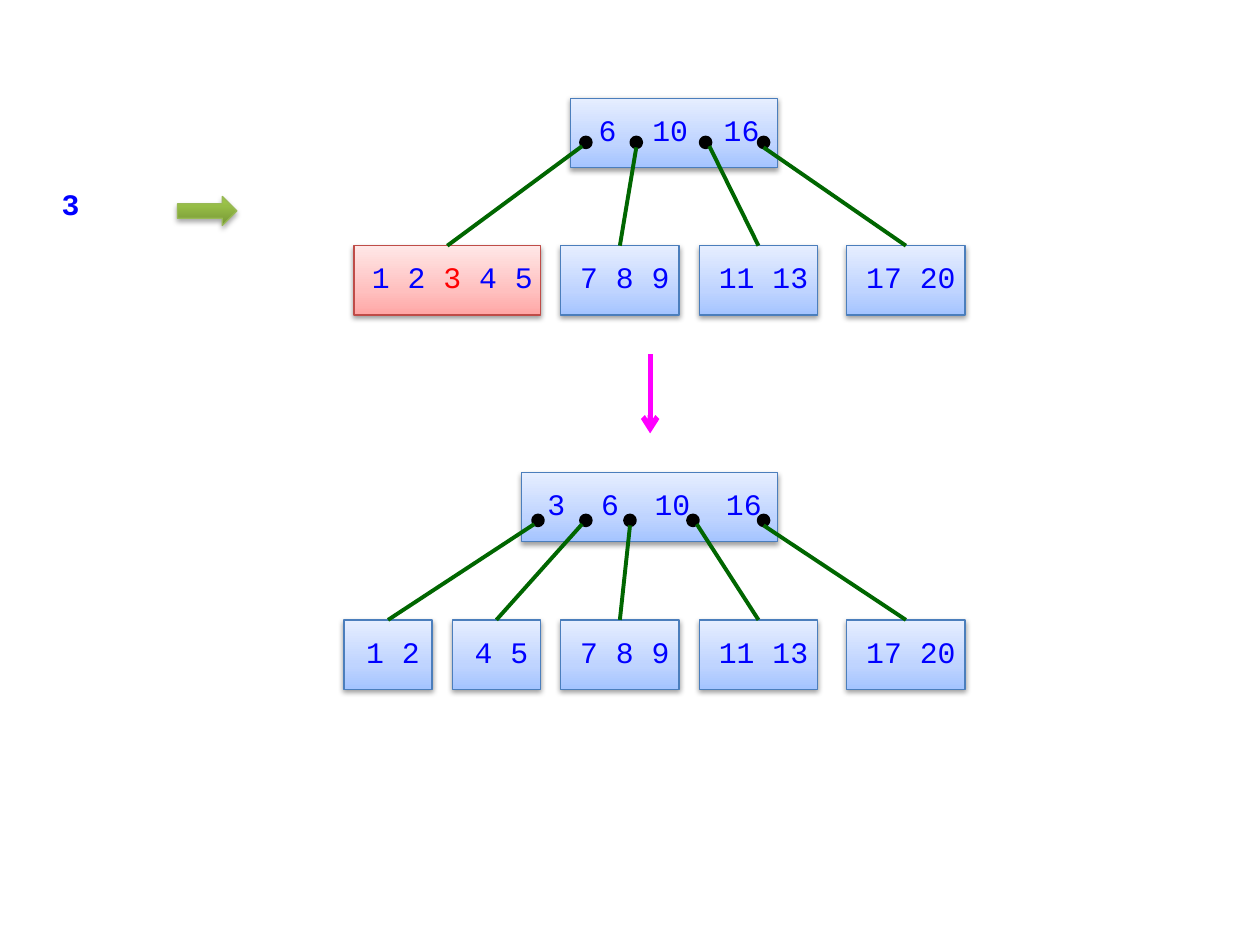
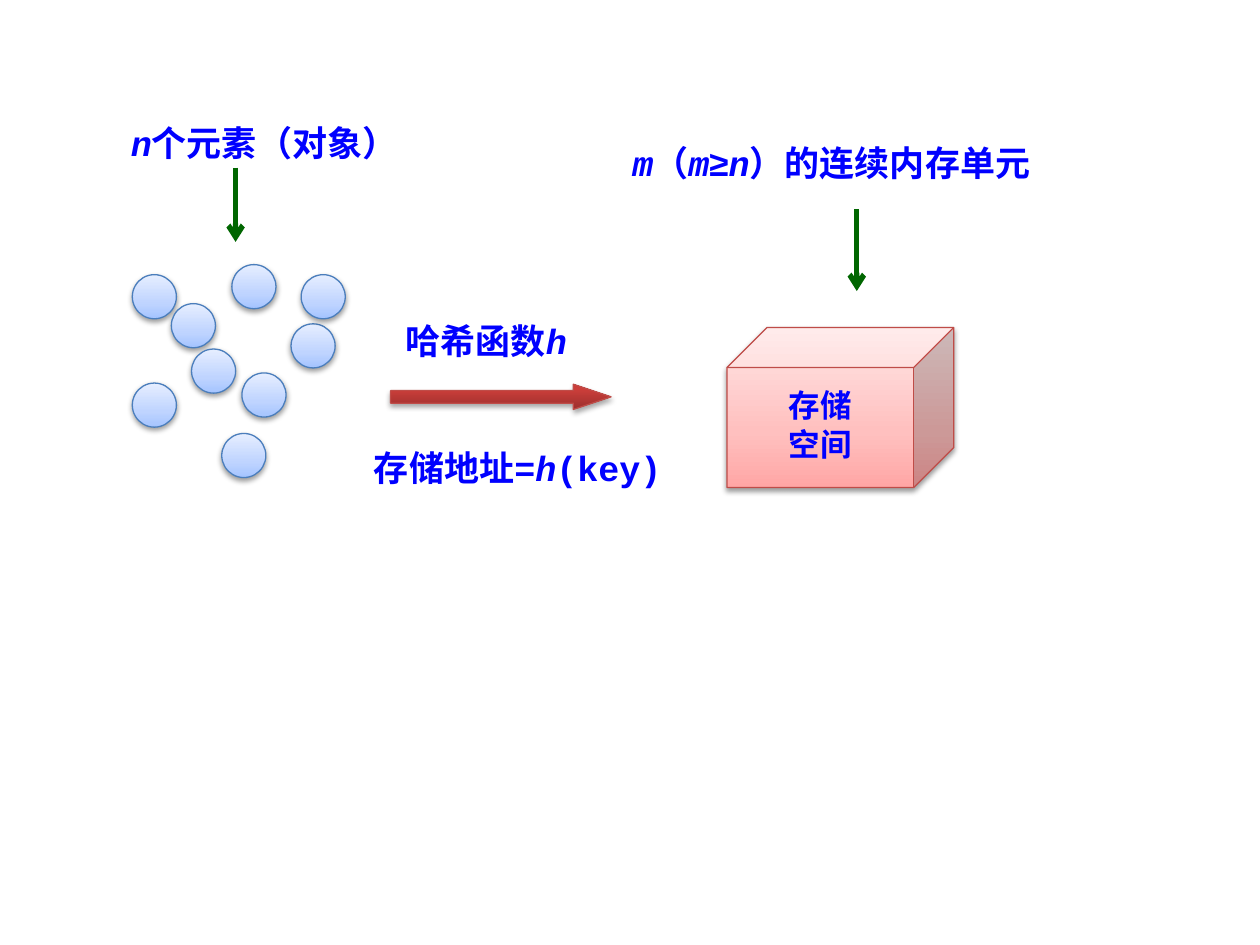
from dataclasses import dataclass

from lxml import etree
from pptx import Presentation
from pptx.dml.color import RGBColor
from pptx.enum.shapes import MSO_CONNECTOR as Connector, MSO_SHAPE as Shape
from pptx.enum.text import MSO_ANCHOR as Anchor, MSO_AUTO_SIZE as AutoSize, PP_ALIGN as Align
from pptx.oxml.ns import qn
from pptx.util import Inches, Pt


@dataclass(frozen=True)
class Finish:
    """Gradient stops from bottom to top, outline colour and shadow."""
    stops: tuple
    outline: str
    shadow_opacity: int = 38
    shadow_distance: float = 1.6


@dataclass(frozen=True)
class Theme:
    """Colours, fonts and type sizes of both slides."""
    text: str = "0000FF"
    highlight: str = "FF0000"
    link: str = "006600"
    step: str = "FF00FF"
    dot: str = "000000"
    code_font: str = "Courier New"
    symbol_font: str = "Arial"
    chinese_font: str = "Noto Sans CJK SC"
    key_size: int = 17
    storage_size: int = 18
    label_size: int = 20
    blue: Finish = Finish(((0, "A4C4FF"), (35, "BFD4FF"), (100, "E6EEFF")), "4B7EBC")
    red: Finish = Finish(((0, "FFA6A5"), (35, "FFC0BF"), (100, "FFE7E7")), "BF4C48")
    strong_green: Finish = Finish(((0, "779737"), (80, "9BC348"), (100, "9DC746")), "98B955", 35, 1.8)
    strong_red: Finish = Finish(((0, "9C2F2D"), (80, "CB3E3A"), (100, "CE3B37")), "BF4C48", 35, 1.8)


THEME = Theme()
NODE_HEIGHT = 0.55
NODE_INSET = 0.08
DOT_SIZE = 0.08
KEY_GAP = 2
CHARACTER_WIDTH = THEME.key_size * 0.6 / 72


def color(value):
    """Turn a hexadecimal string into a colour."""
    return RGBColor.from_string(value)


def add_element(parent, tag, **attributes):
    """Append a drawing element to its parent."""
    element = etree.SubElement(parent, qn(tag))
    for name, value in attributes.items():
        element.set(name, str(value))
    return element


def add_color(parent, value):
    """Append an RGB colour element."""
    return add_element(parent, "a:srgbClr", val=value)


def add_finished_shape(slide, kind, left, top, width, height, finish):
    """Add a preset shape with a vertical gradient and a soft shadow."""
    shape = slide.shapes.add_shape(kind, Inches(left), Inches(top), Inches(width), Inches(height))
    shape.fill.gradient()
    shape.fill.gradient_angle = 90
    properties = shape._element.spPr
    stop_list = properties.find(qn("a:gradFill")).find(qn("a:gsLst"))
    for stop in list(stop_list):
        stop_list.remove(stop)
    for position, value in finish.stops:
        add_color(add_element(stop_list, "a:gs", pos=position * 1000), value)
    shape.line.color.rgb = color(finish.outline)
    shape.line.width = Pt(0.75)
    shape.shadow.inherit = False
    shadow = add_element(properties.find(qn("a:effectLst")), "a:outerShdw", blurRad=Pt(3.1),
                         dist=Pt(finish.shadow_distance), dir=90 * 60000, rotWithShape=0)
    add_element(add_color(shadow, THEME.dot), "a:alpha", val=finish.shadow_opacity * 1000)
    return shape


def style_paragraph(paragraph, size, bold=False, align=Align.LEFT, font_name=THEME.code_font):
    """Set the shared paragraph look."""
    paragraph.alignment = align
    paragraph.line_spacing = 0.8
    font = paragraph.font
    font.name, font.size, font.bold = font_name, Pt(size), bold
    font.color.rgb = color(THEME.text)
    defaults = paragraph._p.get_or_add_pPr().find(qn("a:defRPr"))
    add_element(defaults, "a:ea", typeface=THEME.chinese_font)


def add_label(slide, left, top, width, height, pieces, size=THEME.label_size):
    """Add a bold label whose single Latin letters marked with * are italic."""
    box = slide.shapes.add_textbox(Inches(left), Inches(top), Inches(width), Inches(height))
    frame = box.text_frame
    frame.word_wrap = True
    frame.auto_size = AutoSize.SHAPE_TO_FIT_TEXT
    paragraph = frame.paragraphs[0]
    style_paragraph(paragraph, size, bold=True)
    for piece in pieces:
        run = paragraph.add_run()
        run.text = piece.strip("*")
        if piece.startswith("*"):
            run.font.italic = True
        if piece == "≥":
            run.font.name = THEME.symbol_font


def add_node(slide, left, top, width, finish=THEME.blue):
    """Add an empty tree node and return it with its paragraph."""
    node = add_finished_shape(slide, Shape.RECTANGLE, left, top, width, NODE_HEIGHT, finish)
    frame = node.text_frame
    frame.vertical_anchor = Anchor.MIDDLE
    frame.margin_left = Inches(NODE_INSET)
    frame.margin_right = frame.margin_top = frame.margin_bottom = 0
    return node, frame.paragraphs[0]


def add_leaf(slide, left, top, width, keys, new_key=None):
    """Add a leaf, red with its new key highlighted if there is one."""
    node, paragraph = add_node(slide, left, top, width, THEME.red if new_key else THEME.blue)
    style_paragraph(paragraph, THEME.key_size, align=Align.CENTER)
    before, found, after = keys.partition(new_key) if new_key else (keys, "", "")
    for text in filter(None, (before, found, after)):
        run = paragraph.add_run()
        run.text = text
        if text == new_key:
            run.font.color.rgb = color(THEME.highlight)
    return node


def add_root(slide, left, top, width, keys):
    """Add a root whose keys stand on evenly gapped tab stops."""
    node, paragraph = add_node(slide, left, top, width)
    columns = sum(map(len, keys)) + KEY_GAP * (len(keys) - 1)
    indent = (width - NODE_INSET - columns * CHARACTER_WIDTH) / 2
    node.text_frame.margin_left = Inches(NODE_INSET + indent)
    tab_list = add_element(paragraph._p.get_or_add_pPr(), "a:tabLst")
    position = 0
    for key in keys[:-1]:
        position += (len(key) + KEY_GAP) * CHARACTER_WIDTH
        add_element(tab_list, "a:tab", pos=Inches(position), algn="l")
    style_paragraph(paragraph, THEME.key_size)
    paragraph.add_run().text = "\t".join(keys)


def add_dot(slide, left, top):
    """Add a pointer dot."""
    dot = slide.shapes.add_shape(Shape.OVAL, Inches(left), Inches(top), Inches(DOT_SIZE), Inches(DOT_SIZE))
    dot.fill.solid()
    dot.fill.fore_color.rgb = color(THEME.dot)
    dot.line.color.rgb = color(THEME.dot)
    dot.line.width = Pt(2)
    dot.shadow.inherit = False


def add_line(slide, start, end, line_color, width, arrow=False):
    """Add a straight line, with an arrowhead at its end if wanted."""
    line = slide.shapes.add_connector(Connector.STRAIGHT, *map(Inches, start + end))
    line.line.color.rgb = color(line_color)
    line.line.width = Pt(width)
    properties = line._element.spPr
    if arrow:
        add_element(properties.find(qn("a:ln")), "a:tailEnd", type="arrow")
    add_element(properties, "a:effectLst")
    return line


def add_tree(slide, root, leaf_top, dot_top, branches):
    """Add a root and its branches of dot, lean, leaf left, width and keys."""
    add_root(slide, *root)
    for dot_left, lean, left, width, *keys in branches:
        leaf = add_leaf(slide, left, leaf_top, width, *keys)
        add_dot(slide, dot_left, dot_top)
        start = (dot_left + DOT_SIZE / 2 + lean * 0.03, dot_top + DOT_SIZE - abs(lean) * 0.01)
        link = add_line(slide, start, (left + width / 2, leaf_top), THEME.link, 2.25)
        link.end_connect(leaf, 0)


def add_storage(slide):
    """Add the cube that stands for the storage space."""
    cube = add_finished_shape(slide, Shape.CUBE, 5.77, 2.6, 1.8, 1.27, THEME.red)
    frame = cube.text_frame
    frame.vertical_anchor = Anchor.MIDDLE
    frame.margin_top = frame.margin_bottom = Inches(0.16)
    frame.text = "存储\n空间"
    for paragraph in frame.paragraphs:
        style_paragraph(paragraph, THEME.storage_size, True, Align.CENTER, THEME.chinese_font)
    frame.paragraphs[1].space_before = Pt(5)


def build_split_slide(slide):
    """Show a key being inserted and its leaf being split."""
    add_label(slide, 0.39, 1.48, 0.7, 0.33, ["3"], THEME.key_size)
    add_finished_shape(slide, Shape.RIGHT_ARROW, 1.41, 1.56, 0.47, 0.23, THEME.strong_green)
    last_leaves = [(5.55, 0.94, "11 13"), (6.72, 0.94, "17 20")]
    middle_leaf = (4.45, 0.94, "7 8 9")
    add_tree(slide, (4.53, 0.78, 1.64, ["6", "10", "16"]), 1.95, 1.09, [
        (4.61, -1, 2.81, 1.48, "1 2 3 4 5", "3"),
        (5.01, 0, *middle_leaf),
        (5.56, 1, *last_leaves[0]),
        (6.02, 0, *last_leaves[1]),
    ])
    add_line(slide, (5.16, 2.81), (5.16, 3.44), THEME.step, 3, arrow=True)
    add_tree(slide, (4.14, 3.75, 2.03, ["3", "6", "10", "16"]), 4.92, 4.09, [
        (4.23, -1, 2.73, 0.7, "1 2"),
        (4.61, -1, 3.59, 0.7, "4 5"),
        (4.96, 0, *middle_leaf),
        (5.46, 1, *last_leaves[0]),
        (6.02, 0, *last_leaves[1]),
    ])


def build_hash_slide(slide):
    """Show elements being mapped to storage by a hash function."""
    elements = [(1.05, 2.18), (1.36, 2.41), (1.52, 2.77), (1.84, 2.1), (1.05, 3.04),
                (1.92, 2.96), (2.31, 2.57), (1.76, 3.44), (2.39, 2.18)]
    for left, top in elements:
        add_finished_shape(slide, Shape.OVAL, left, top, 0.35, 0.35, THEME.blue)
    mapping = add_finished_shape(slide, Shape.RIGHT_ARROW, 3.1, 3.05, 1.75, 0.2, THEME.strong_red)
    mapping.adjustments[1] = 1.5
    add_storage(slide)
    add_label(slide, 3.12, 2.55, 2.2, 0.37, ["哈希函数", "*h"])
    add_label(slide, 2.87, 3.56, 2.84, 0.37, ["存储地址=", "*h", "(key)"])
    add_label(slide, 0.94, 0.98, 2.42, 0.37, ["*n", "个元素（对象）"])
    add_label(slide, 4.92, 1.14, 3.75, 0.37, ["*m", "（", "*m", "≥", "*n", "）的连续内存单元"])
    add_line(slide, (1.87, 1.33), (1.87, 1.92), THEME.link, 3, arrow=True)
    add_line(slide, (6.8, 1.66), (6.8, 2.31), THEME.link, 3, arrow=True)


def main():
    """Build and save both slides."""
    presentation = Presentation()
    presentation.slide_width, presentation.slide_height = Inches(10), Inches(7.5)
    blank_layout = presentation.slide_layouts[6]
    for build in (build_split_slide, build_hash_slide):
        build(presentation.slides.add_slide(blank_layout))
    presentation.save("out.pptx")


if __name__ == "__main__":
    main()
